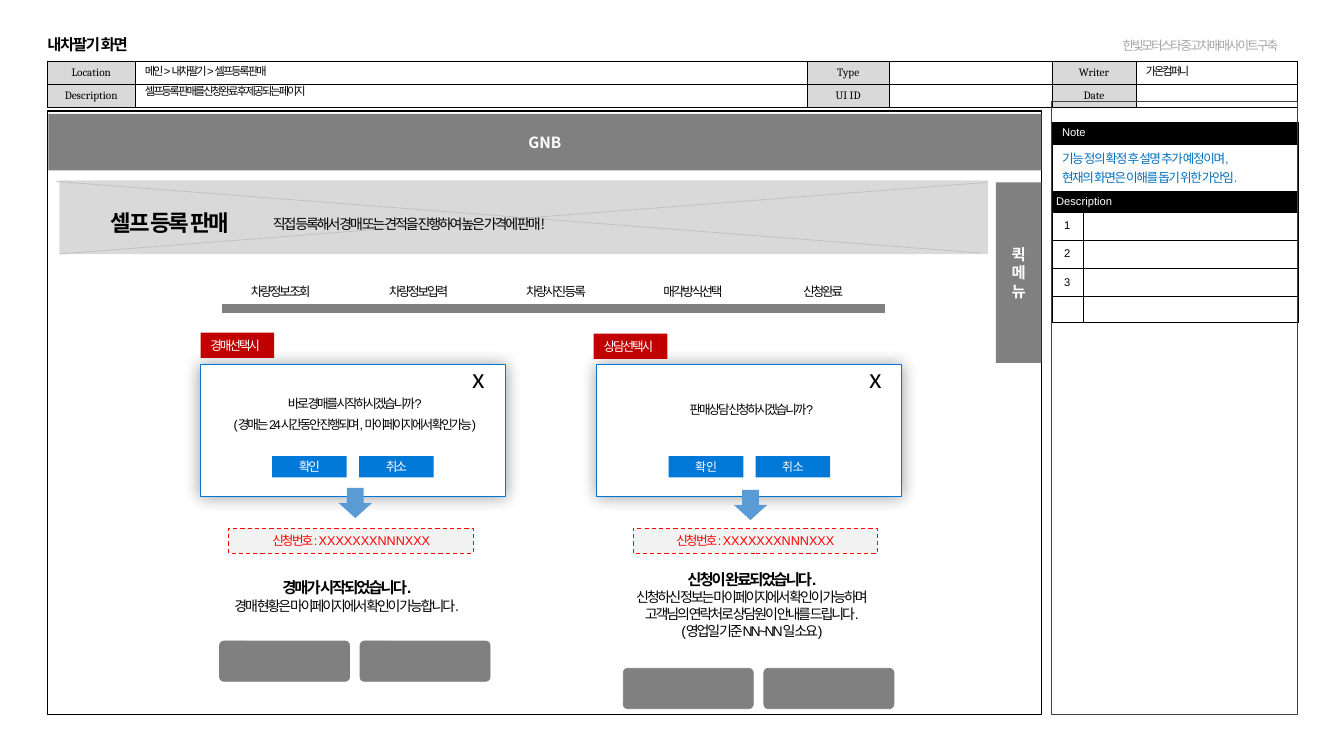
"""Build the wireframe slide for the self-registration car sale page."""
from lxml import etree
from pptx import Presentation
from pptx import util as u
from pptx.dml.color import RGBColor
from pptx.enum import dml, shapes, text
from pptx.oxml import ns

Pt = u.Pt
COLORS = {"black": "000000", "white": "FFFFFF", "gray": "808080", "light": "D9D9D9",
          "pale": "F2F2F2", "silver": "BFBFBF", "muted": "A6A6A6", "dark": "404040",
          "blue": "0078D7", "note": "0070C0", "arrow": "5B9BD5", "tag": "C00000",
          "red": "FF0000"}
NOTO = "Noto Sans CJK KR"
STYLES = {
    "heading": ("Arial", 11, "black", True, -1),
    "project": ("Arial", 9, "muted", False, -1.5),
    "meta": ("Arial", 8, "black", False, -1.5),
    "label": ("Cambria", 8, "black", False, 0),
    "bar": (NOTO, 11, "white", True, 0),
    "banner": (NOTO, 16, "black", True, -1.5),
    "slogan": (NOTO, 10, "black", False, -1.5),
    "step": (NOTO, 9, "black", False, -1.5),
    "tag": (NOTO, 9, "white", False, -1.5),
    "close": (NOTO, 18, "black", False, 0),
    "message": ("Arial", 9, "black", False, -1.5),
    "tight button": ("Lato", 9, "white", False, -1.5),
    "button": ("Lato", 8.5, "white", False, 0),
    "number label": ("Arial", 9, "red", False, -1.5),
    "number": ("Arial", 9, "red", False, 0),
    "result": ("Arial", 11, "black", True, -1.5),
    "detail": ("Arial", 10, "black", False, -1.5),
    "note title": ("Arial", 8, "white", False, 0),
    "note": ("Arial", 9, "note", False, -1),
    "index": ("Arial", 8, "black", False, -1),
}
LEFT, CENTER = text.PP_ALIGN.LEFT, text.PP_ALIGN.CENTER
TOP, MIDDLE = text.MSO_ANCHOR.TOP, text.MSO_ANCHOR.MIDDLE
RECT = shapes.MSO_SHAPE.RECTANGLE


def write(frame, paragraphs, align=LEFT, **layout):
    """Fill a text frame with paragraphs made of (style, text) runs."""
    for number, runs in enumerate(paragraphs):
        paragraph = frame.add_paragraph() if number else frame.paragraphs[0]
        for name, value in {"alignment": align, **layout}.items():
            setattr(paragraph, name, value)
        for style, words in runs:
            family, size, color, bold, spacing = STYLES[style]
            run = paragraph.add_run()
            run.text = words
            for name, value in {"name": family, "size": Pt(size), "bold": bold}.items():
                setattr(run.font, name, value)
            run.font.color.rgb = RGBColor.from_string(COLORS[color])
            properties = run._r.get_or_add_rPr()
            properties.set("spc", str(round(spacing * 100)))
            etree.SubElement(properties, ns.qn("a:ea"), typeface=NOTO)


def add_box(place, paragraphs=(), align=LEFT, kind=None, fill=None, line=None, weight=0.5,
            anchor=TOP, insets=(7.2, 3.6), wrap=True, **layout):
    """Add a text box, or a preset shape when a kind is given."""
    place = [Pt(value) for value in place]
    if kind is None:
        shape = slide.shapes.add_textbox(*place)
    else:
        shape = slide.shapes.add_shape(kind, *place)
        shape.shadow.inherit = False
        if fill:
            shape.fill.solid()
            shape.fill.fore_color.rgb = RGBColor.from_string(COLORS[fill])
        else:
            shape.fill.background()
        if line:
            shape.line.color.rgb = RGBColor.from_string(COLORS[line])
            shape.line.width = Pt(weight)
        else:
            shape.line.fill.background()
    across, down = Pt(insets[0]), Pt(insets[1])
    frame_format = {"word_wrap": wrap, "vertical_anchor": anchor, "margin_left": across,
                    "margin_right": across, "margin_top": down, "margin_bottom": down}
    for name, value in frame_format.items():
        setattr(shape.text_frame, name, value)
    write(shape.text_frame, paragraphs, align, **layout)
    return shape


presentation = Presentation()
presentation.slide_width, presentation.slide_height = Pt(960), Pt(540)
slide = presentation.slides.add_slide(presentation.slide_layouts[6])

header_rows = [[("label", "Location"), None, ("label", "Type"), None, ("label", "Writer"), None],
               [("label", "Description"), None, ("label", "UI ID"), None, ("label", "Date"), None]]
note_rows = [[("note title", "Note"), None],
             [("note", "기능 정의 확정 후 설명 추가 예정이며,\n현재의 화면은 이해를 돕기 위한 가안임."), None],
             [("note title", "Description"), None],
             *[[("index", str(number)), None] for number in (1, 2, 3)], [None, None]]
fills = {"label": "light", "note title": "black"}
tables = [
    (33.9, 43.6, [62.6, 480.2, 58.3, 116.6, 59.8, 115.2], [16.4] * 2, header_rows),
    (751.4, 87.1, [22, 153.6], [15.8, 33.2, 15, 20, 20, 20.6, 18.6], note_rows),
]
for left, top, widths, heights, rows in tables:
    table = slide.shapes.add_table(len(heights), len(widths), Pt(left), Pt(top),
                                   Pt(sum(widths)), Pt(sum(heights))).table
    table.first_row = table.horz_banding = False
    for column, width in zip(table.columns, widths):
        column.width = Pt(width)
    for row, height, contents in zip(table.rows, heights, rows):
        row.height = Pt(height)
        for cell, content in zip(row.cells, contents):
            style, words = content or (None, "")
            inset = 7.2 if style == "note" or words == "Note" else 2.9
            down = 3.6 if style == "note" else 2.2
            cell_format = {"margin_left": Pt(inset), "margin_right": Pt(inset),
                           "margin_top": Pt(down), "margin_bottom": Pt(down),
                           "vertical_anchor": MIDDLE}
            for name, value in cell_format.items():
                setattr(cell, name, value)
            cell.fill.solid()
            cell.fill.fore_color.rgb = RGBColor.from_string(COLORS[fills.get(style, "white")])
            if content:
                write(cell.text_frame, [[(style, part)] for part in words.split("\n")],
                      CENTER if style in ("label", "index") else LEFT)
            else:
                cell.text_frame.paragraphs[0]._p.get_or_add_endParaRPr().set("sz", "800")
            properties = cell._tc.get_or_add_tcPr()
            for position, side in enumerate(("lnL", "lnR", "lnT", "lnB")):
                border = etree.Element(ns.qn(f"a:{side}"), w=str(Pt(0.25)))
                solid = etree.SubElement(border, ns.qn("a:solidFill"))
                etree.SubElement(solid, ns.qn("a:srgbClr"), val=COLORS["black"])
                properties.insert(position, border)
    if rows is note_rows:
        for index in range(3):
            table.cell(index, 0).merge(table.cell(index, 1))

add_box((751, 72, 175.7, 438.5), kind=RECT, line="dark", weight=0.25)
add_box((33.9, 79.2, 709.9, 431.3), kind=RECT, line="black", weight=1)
add_box((794.9, 23.8, 150, 18), [[("project", "한빛모터스타 중고차매매사이트 구축")]])
add_box((33.9, 26.6, 291.6, 12.2), [[("heading", "내차팔기 화면")]], insets=(0, 0), line_spacing=0.9)
for left, top, width, words in [(811.4, 43.9, 115.2, "가온컴퍼니"),
                                (96.5, 43.9, 479.5, "메인 > 내차팔기 > 셀프등록 판매"),
                                (96.5, 58.3, 479.5, "셀프등록 판매를 신청완료 후 제공되는 페이지")]:
    add_box((left, top, width, 14.4), [[("meta", words)]], anchor=MIDDLE,
            insets=(7.2, 0), line_spacing=0.9)

add_box((34.6, 81.4, 709.2, 40.3), [[("bar", "GNB")]], CENTER, RECT, "gray", anchor=MIDDLE)
add_box((711.4, 130.3, 32.4, 128.9), [[("bar", "퀵")], [("bar", "메뉴")]], CENTER, RECT,
        "gray", anchor=MIDDLE)
add_box((42.5, 128.9, 663.1, 52.6), kind=RECT, fill="light")

for start_x, start_y, end_x, end_y, color, weight in [
        (42.5, 181.4, 704.9, 130.3, "silver", 0.5), (40.3, 129.6, 699.8, 180.7, "silver", 0.5),
        (158.4, 220.5, 632.2, 220.5, "gray", 6)]:
    connector = slide.shapes.add_connector(shapes.MSO_CONNECTOR.STRAIGHT, Pt(start_x),
                                           Pt(start_y), Pt(end_x), Pt(end_y))
    connector.line.color.rgb = RGBColor.from_string(COLORS[color])
    connector.line.width = Pt(weight)
    etree.SubElement(connector._element.spPr, ns.qn("a:effectLst"))

add_box((72, 136.1, 205.2, 36), [[("banner", "셀프 등록 판매")]], line_spacing=1.5)
add_box((187.9, 144.7, 356.4, 25.2),
        [[("slogan", "직접 등록해서 경매 또는 견적을 진행하여 높은 가격에 판매!")]], line_spacing=1.5)
steps = {"차량정보 조회": 158.4, "차량정보입력": 257, "차량사진 등록": 355,
         "매각방식선택": 452.9, "신청완료": 545.8}
for words, left in steps.items():
    add_box((left, 193.7, 84.2, 23.8), [[("step", words)]], CENTER, line_spacing=1.5)

flows = [
    {"dialog": 142.9, "tag": (143.3, 237.6, "경매선택시"), "message top": 283, "button": "tight button",
     "message": ["바로 경매를 시작하시겠습니까?", "(경매는 24시간동안 진행되며, 마이페이지에서 확인가능)"],
     "number": 163.6, "arrow": (241.9, 348.5), "result": (126, 409.7), "buttons": (156.8, 457.9),
     "title": "경매가 시작되었습니다.", "details": ["경매 현황은 마이페이지에서 확인이 가능합니다."]},
    {"dialog": 426.2, "tag": (424.1, 238.3, "상담선택시"), "message top": 287.3, "button": "button",
     "message": ["판매상담 신청하시겠습니까?"],
     "number": 452.2, "arrow": (524.2, 349.9), "result": (415.4, 403.9), "buttons": (445.2, 477.4),
     "title": "신청이 완료되었습니다.",
     "details": ["신청하신 정보는 마이페이지에서 확인이 가능하며",
                 "고객님의 연락처로 상담원이 안내를 드립니다.", "(영업일 기준NN~NN일 소요)"]},
]
for flow in flows:
    left = flow["dialog"]
    dialog = add_box((left, 260.6, 217.8, 94.3), kind=RECT, fill="white", line="blue")
    effects = dialog._element.spPr.find(ns.qn("a:effectLst"))
    shadow = etree.SubElement(effects, ns.qn("a:outerShdw"), blurRad=str(Pt(12)), dist="0", dir="0")
    shade = etree.SubElement(shadow, ns.qn("a:srgbClr"), val=COLORS["black"])
    etree.SubElement(shade, ns.qn("a:alpha"), val="40000")
    add_box((left + 16.2, flow["message top"], 188.6, 26), [[("message", words)] for words in flow["message"]],
            CENTER, insets=(0, 0), space_after=Pt(4))
    for offset, words in [(51.5, "확인"), (113.6, "취소")]:
        add_box((left + offset, 325.8, 53.3, 15.1), [[(flow["button"], words)]], CENTER, RECT,
                "blue", anchor=MIDDLE, wrap=False)
    add_box((left + 187.6, 256.3, 19.4, 35.3), [[("close", "x")]], wrap=False)
    tag_left, tag_top, words = flow["tag"]
    add_box((tag_left, tag_top, 52.6, 18), [[("tag", words)]], kind=RECT, fill="tag", wrap=False)
    number = add_box((flow["number"], 377.3, 174.6, 18),
                     [[("number label", "신청 번호 : "), ("number", "XXXXXXXNNNXXX")]],
                     CENTER, RECT, "pale", "red", 0.75)
    number.line.dash_style = dml.MSO_LINE.DASH
    add_box((*flow["arrow"], 23.8, 21.6), kind=shapes.MSO_SHAPE.DOWN_ARROW, fill="arrow")
    add_box((*flow["result"], 243.4, 57), [[("result", flow["title"])],
            *[[("detail", words)] for words in flow["details"]]], CENTER)
    button_left, button_top = flow["buttons"]
    for column in range(2):
        button = add_box((button_left + 100.4 * column, button_top, 92.9, 28.8),
                         kind=shapes.MSO_SHAPE.ROUNDED_RECTANGLE, fill="gray", line="gray")
        button.adjustments[0] = 0.11

presentation.save("out.pptx")
